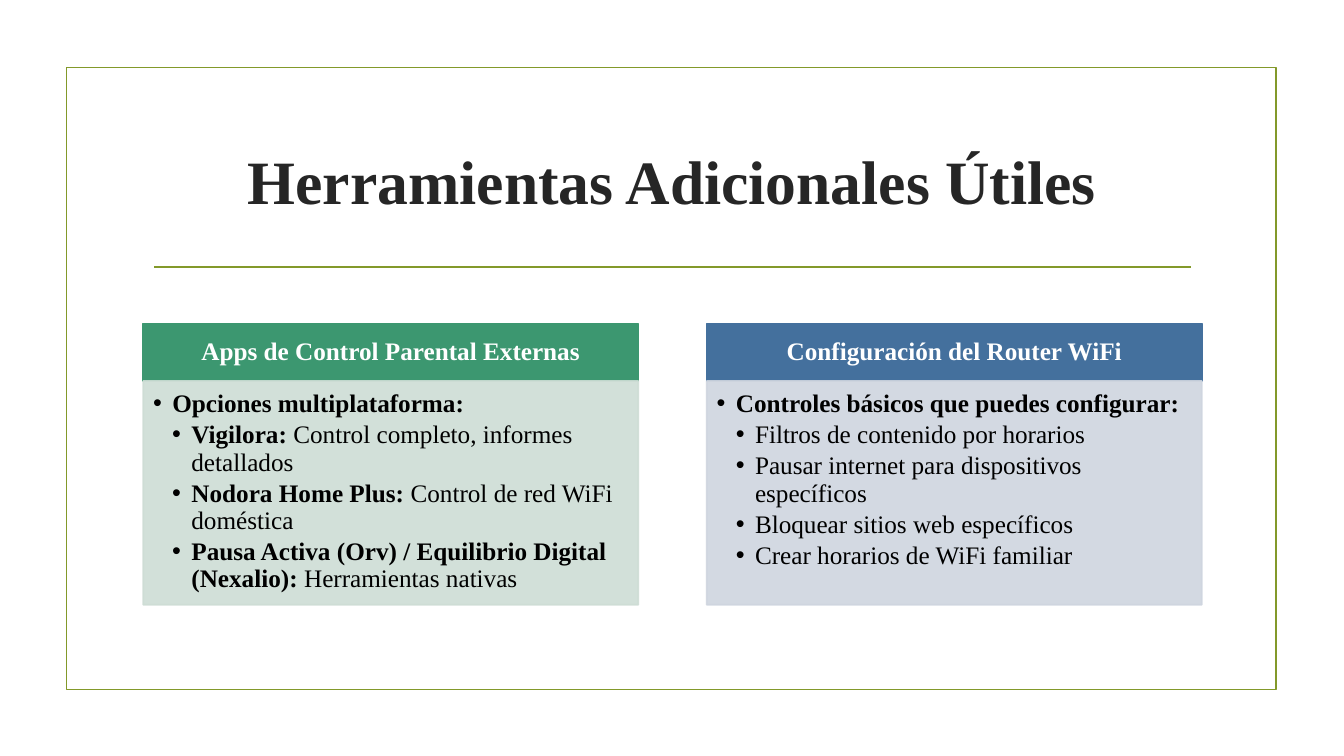
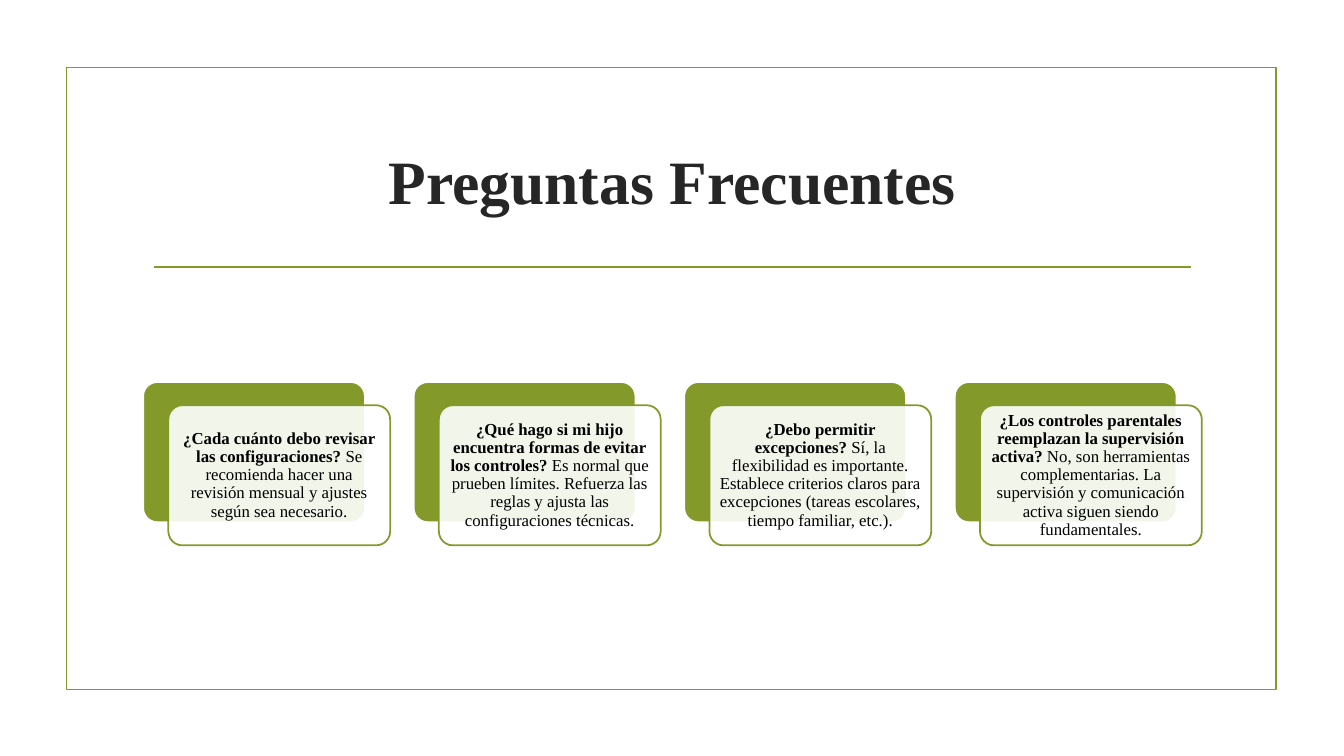
"""Build two slides on parental controls: useful tools and frequent questions."""
from dataclasses import dataclass

from lxml import etree
from pptx import Presentation
from pptx import util as u
from pptx.dml.color import RGBColor
from pptx.enum import shapes, text
from pptx.oxml import ns

FONT = "Times New Roman"
OLIVE, INK, BLACK, WHITE = "83992A", "262626", "000000", "FFFFFF"
LEFT, WIDTH = 1.42, 10.5
LINE_WIDTH = 1.25
INDENT = 0.19
RECT = shapes.MSO_SHAPE.RECTANGLE
ROUNDED = shapes.MSO_SHAPE.ROUNDED_RECTANGLE
MIDDLE, TOP = text.MSO_ANCHOR.MIDDLE, text.MSO_ANCHOR.TOP


@dataclass(frozen=True)
class Entry:
    """A paragraph that opens in bold; level 0 has no bullet."""
    bold: str
    plain: str = ""
    level: int = 0


@dataclass(frozen=True)
class Panel:
    """A coloured heading above a tinted list."""
    heading: str
    color: str
    tint: str
    entries: tuple[Entry, ...]


PANELS = (
    Panel("Apps de Control Parental Externas", "3C9770", "CEDDD5", (
        Entry("Opciones multiplataforma:", level=1),
        Entry("Vigilora:", " Control completo, informes detallados", 2),
        Entry("Nodora Home Plus:", " Control de red WiFi doméstica", 2),
        Entry("Pausa Activa (Orv) / Equilibrio Digital (Nexalio):",
              " Herramientas nativas", 2),
    )),
    Panel("Configuración del Router WiFi", "44709D", "CFD5DF", (
        Entry("Controles básicos que puedes configurar:", level=1),
        Entry("", "Filtros de contenido por horarios", 2),
        Entry("", "Pausar internet para dispositivos específicos", 2),
        Entry("", "Bloquear sitios web específicos", 2),
        Entry("", "Crear horarios de WiFi familiar", 2),
    )),
)

QUESTIONS = (
    Entry("¿Cada cuánto debo revisar las configuraciones?",
          " Se recomienda hacer una revisión mensual y ajustes según sea necesario."),
    Entry("¿Qué hago si mi hijo encuentra formas de evitar los controles?",
          " Es normal que prueben límites. Refuerza las reglas y ajusta las "
          "configuraciones técnicas."),
    Entry("¿Debo permitir excepciones?",
          " Sí, la flexibilidad es importante. Establece criterios claros para "
          "excepciones (tareas escolares, tiempo familiar, etc.)."),
    Entry("¿Los controles parentales reemplazan la supervisión activa?",
          " No, son herramientas complementarias. La supervisión y comunicación "
          "activa siguen siendo fundamentales."),
)


def apply(target, values: dict) -> None:
    for name, value in values.items():
        setattr(target, name, value)


def rgb(color: str) -> RGBColor:
    return RGBColor.from_string(color)


def add_box(page, kind, at: tuple, fill: str | None, line: str,
            fill_alpha: int = 100, line_alpha: int = 100):
    box = page.shapes.add_shape(kind, *map(u.Inches, at))
    box.shadow.inherit = False
    if fill:
        box.fill.solid()
        box.fill.fore_color.rgb = rgb(fill)
    else:
        box.fill.background()
    box.line.color.rgb = rgb(line)
    box.line.width = u.Pt(LINE_WIDTH)
    if kind == ROUNDED:
        box.adjustments[0] = 0.1
    properties = box._element.spPr
    for tag, alpha in (("a:solidFill", fill_alpha), ("a:ln/a:solidFill", line_alpha)):
        if alpha < 100:
            color = properties.find(f"{tag}/a:srgbClr", ns.namespaces("a"))
            etree.SubElement(color, ns.qn("a:alpha"), val=str(alpha * 1000))
    return box


def add_bullet(para, level: int) -> None:
    properties = para._p.get_or_add_pPr()
    properties.set("marL", str(u.Inches(INDENT * level)))
    properties.set("indent", str(-u.Inches(INDENT)))
    etree.SubElement(properties, ns.qn("a:buFont"), typeface="Arial")
    etree.SubElement(properties, ns.qn("a:buChar"), char="•")


def write(box, entries: tuple[Entry, ...], size: int, color: str, insets: tuple,
          anchor=MIDDLE, line_spacing: float = 0.9, after: float = 0) -> None:
    frame = box.text_frame
    sides = ("margin_left", "margin_top", "margin_right", "margin_bottom")
    apply(frame, {"word_wrap": True, "vertical_anchor": anchor,
                  **dict(zip(sides, map(u.Inches, insets)))})
    for index, entry in enumerate(entries):
        para = frame.add_paragraph() if index else frame.paragraphs[0]
        align = text.PP_ALIGN.LEFT if entry.level else text.PP_ALIGN.CENTER
        apply(para, {"alignment": align, "line_spacing": line_spacing,
                     "space_after": u.Pt(after)})
        if entry.level:
            add_bullet(para, entry.level)
        for words, bold in ((entry.bold, True), (entry.plain, False)):
            if words:
                span = para.add_run()
                span.text = words
                apply(span.font, {"name": FONT, "size": u.Pt(size), "bold": bold})
                span.font.color.rgb = rgb(color)


def add_page(deck, title: str):
    page = deck.slides.add_slide(deck.slide_layouts[6])
    add_box(page, RECT, (0.66, 0.67, 12, 6.17), None, OLIVE)
    rule = page.shapes.add_connector(
        shapes.MSO_CONNECTOR.STRAIGHT, *map(u.Inches, (1.53, 2.65, 11.81, 2.65)))
    rule.line.color.rgb = rgb(OLIVE)
    rule.line.width = u.Pt(LINE_WIDTH)
    etree.SubElement(rule._element.spPr, ns.qn("a:effectLst"))
    box = page.shapes.add_textbox(*map(u.Inches, (LEFT, 1.07, WIDTH, 1.43)))
    write(box, (Entry(title),), 44, INK, (0.1, 0.05, 0.1, 0.05), line_spacing=1)
    return page


def add_panels(page) -> None:
    top, width, head, body = 3.21, 4.91, 0.57, 2.22
    for index, panel in enumerate(PANELS):
        left = LEFT + index * (WIDTH - width)
        heading = add_box(page, RECT, (left, top, width, head), panel.color, panel.color)
        write(heading, (Entry(panel.heading),), 18, WHITE, (0.14, 0.08, 0.14, 0.08))
        listing = add_box(page, RECT, (left, top + head, width, body),
                          panel.tint, panel.tint, 90, 90)
        write(listing, panel.entries, 18, BLACK, (0.1, 0.1, 0.14, 0.16), TOP, after=2.7)


def add_questions(page) -> None:
    top, width, height, right, down = 3.79, 2.2, 1.39, 0.25, 0.23
    pitch = (WIDTH - width - right) / (len(QUESTIONS) - 1)
    for index, question in enumerate(QUESTIONS):
        left = LEFT + index * pitch
        add_box(page, ROUNDED, (left, top, width, height), OLIVE, WHITE)
        card = add_box(page, ROUNDED, (left + right, top + down, width, height),
                       WHITE, OLIVE, 90)
        write(card, (question,), 12, BLACK, (0.05,) * 4)


def main() -> None:
    deck = Presentation()
    apply(deck, {"slide_width": u.Inches(13.33), "slide_height": u.Inches(7.5)})
    add_panels(add_page(deck, "Herramientas Adicionales Útiles"))
    add_questions(add_page(deck, "Preguntas Frecuentes"))
    deck.save("out.pptx")


if __name__ == "__main__":
    main()
